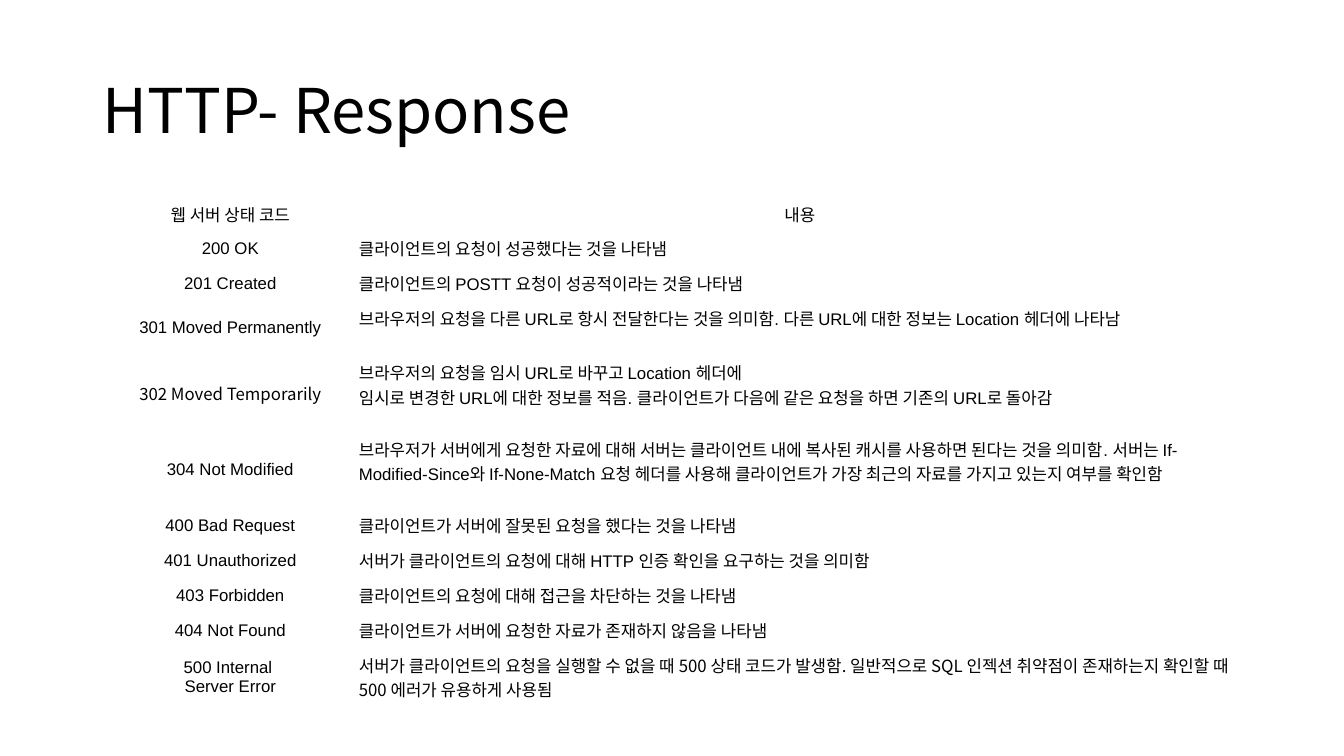
from lxml import etree
from pptx import Presentation
from pptx.dml.color import RGBColor
from pptx.enum.text import MSO_ANCHOR, PP_ALIGN
from pptx.oxml.ns import qn
from pptx.util import Cm, Pt

LEFT, MID = PP_ALIGN.LEFT, PP_ALIGN.CENTER
TOP, CENTER = MSO_ANCHOR.TOP, MSO_ANCHOR.MIDDLE
SANS, KOREAN = "Arial", "Noto Sans CJK KR"

# Row heights in cm
LOW, TWO, TALL = 0.88, 1.37, 1.93

# Height, code, code font, meaning, meaning font
ROWS = [
    (0.84, "웹 서버 상태 코드", SANS, "내용", SANS),
    (LOW, "200 OK", SANS, "클라이언트의 요청이 성공했다는 것을 나타냄", SANS),
    (LOW, "201 Created", SANS,
     "클라이언트의 POSTT 요청이 성공적이라는 것을 나타냄", SANS),
    (TWO, "301 Moved Permanently", SANS,
     "브라우저의 요청을 다른 URL로 항시 전달한다는 것을 의미함. "
     "다른 URL에 대한 정보는 Location 헤더에 나타남", SANS),
    (TALL, "302 Moved Temporarily", KOREAN,
     "브라우저의 요청을 임시 URL로 바꾸고 Location 헤더에\n"
     "임시로 변경한 URL에 대한 정보를 적음. "
     "클라이언트가 다음에 같은 요청을 하면 기존의 URL로 돌아감", SANS),
    (TALL, "304 Not Modified", SANS,
     "브라우저가 서버에게 요청한 자료에 대해 서버는 클라이언트 내에 복사된 캐시를 "
     "사용하면 된다는 것을 의미함. 서버는 If-Modified-Since와 If-None-Match "
     "요청 헤더를 사용해 클라이언트가 가장 최근의 자료를 가지고 있는지 여부를 확인함", SANS),
    (LOW, "400 Bad Request", SANS,
     "클라이언트가 서버에 잘못된 요청을 했다는 것을 나타냄", SANS),
    (LOW, "401 Unauthorized", SANS,
     "서버가 클라이언트의 요청에 대해 HTTP 인증 확인을 요구하는 것을 의미함", SANS),
    (LOW, "403 Forbidden", SANS,
     "클라이언트의 요청에 대해 접근을 차단하는 것을 나타냄", SANS),
    (LOW, "404 Not Found", SANS,
     "클라이언트가 서버에 요청한 자료가 존재하지 않음을 나타냄", KOREAN),
    (TWO, "500 Internal \vServer Error", SANS,
     "서버가 클라이언트의 요청을 실행할 수 없을 때 500 상태 코드가 발생함. "
     "일반적으로 SQL 인젝션 취약점이 존재하는지 확인할 때 500 에러가 유용하게 사용됨",
     KOREAN),
]


def color(code):
    return RGBColor.from_string(code)


class Deck:
    ink = "000000"

    def __init__(self, wide, high):
        self.file = Presentation()
        self.file.slide_width, self.file.slide_height = Cm(wide), Cm(high)
        self.slide = self.file.slides.add_slide(self.file.slide_layouts[5])

    def label(self, frame, text, font, size, align, **para):
        frame.text = text
        for par in frame.paragraphs:
            for key, value in {"alignment": align, **para}.items():
                setattr(par, key, value)
            for run in par.runs:
                for key, value in {"name": font, "size": Pt(size)}.items():
                    setattr(run.font, key, value)
                run.font.color.rgb = color(self.ink)
                # East Asian typeface
                asian = etree.SubElement(run.font._element, qn("a:ea"))
                asian.set("typeface", KOREAN)

    def title(self, text, left, top, width, height):
        box = self.slide.shapes.title
        place = {"left": left, "top": top, "width": width, "height": height}
        for key, value in place.items():
            setattr(box, key, Cm(value))
        box.text_frame.vertical_anchor = CENTER
        self.label(box.text_frame, text, KOREAN, 44, LEFT, line_spacing=0.9)

    def table(self, rows, left, top, widths):
        high = sum(row[0] for row in rows)
        grid = self.slide.shapes.add_table(
            len(rows), len(widths), Cm(left), Cm(top),
            Cm(sum(widths)), Cm(high)).table
        grid.first_row = grid.horz_banding = False
        for col, width in zip(grid.columns, widths):
            col.width = Cm(width)
        for i, (high, code, face, note, font) in enumerate(rows):
            grid.rows[i].height = Cm(high)
            self.cell(grid.cell(i, 0), code, face, MID, CENTER)
            spot = (LEFT, TOP) if i else (MID, CENTER)
            self.cell(grid.cell(i, 1), note, font, *spot)

    def cell(self, cell, text, font, align, anchor):
        cell.fill.background()
        cell.vertical_anchor = anchor
        self.label(cell.text_frame, text, font, 12, align)


def main():
    deck = Deck(33.87, 19.05)
    # Heading
    deck.title("HTTP- Response", 2.33, 1.01, 29.21, 3.68)
    # Status codes
    deck.table(ROWS, 2.82, 4.95, (5.97, 22.73))
    deck.file.save("out.pptx")


if __name__ == "__main__":
    main()
